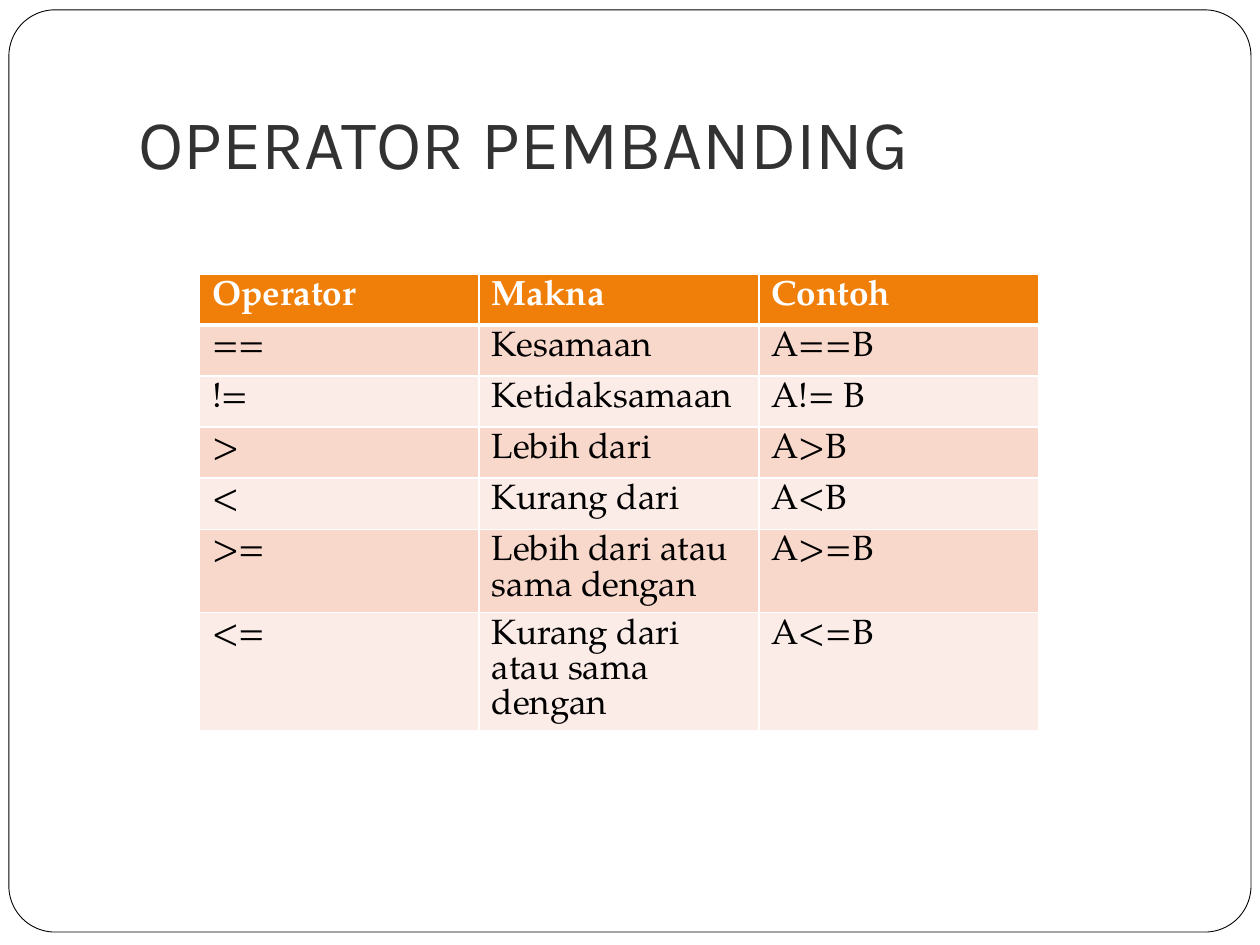
from pptx import Presentation
from pptx.dml.color import RGBColor
from pptx.enum.shapes import MSO_SHAPE
from pptx.enum.text import MSO_ANCHOR, PP_ALIGN
from pptx.oxml.ns import qn
from pptx.util import Cm, Pt
from lxml.etree import SubElement

TITLE = "OPERATOR PEMBANDING"
ROWS = [
    ("Operator", "Makna", "Contoh"),
    ("==", "Kesamaan", "A==B"),
    ("!=", "Ketidaksamaan", "A!= B"),
    (">", "Lebih dari", "A>B"),
    ("<", "Kurang dari", "A<B"),
    (">=", "Lebih dari atau sama dengan", "A>=B"),
    ("<=", "Kurang dari atau sama dengan", "A<=B"),
]
TITLE_FONT, TABLE_FONT = "Karla", "TeX Gyre Pagella"
WHITE = RGBColor(0xFF, 0xFF, 0xFF)
BLACK = RGBColor(0, 0, 0)
GREY = RGBColor(0x32, 0x32, 0x32)
ORANGE = RGBColor(0xF0, 0x7F, 0x09)
BANDS = (RGBColor(0xFC, 0xEC, 0xE7), RGBColor(0xF9, 0xD8, 0xCC))
COLUMN_WIDTH, ROW_HEIGHT = Cm(5.64), Cm(1.03)


def set_borders(cell, header, below_header):
    """Draw white cell borders, with a thick rule under the header."""
    properties = cell._tc.get_or_add_tcPr()
    thick_side = "lnB" if header else "lnT" if below_header else None
    for index, side in enumerate(("lnL", "lnR", "lnT", "lnB")):
        width = Pt(3 if side == thick_side else 1)
        line = properties.makeelement(qn(f"a:{side}"), {"w": str(int(width))})
        fill = SubElement(line, qn("a:solidFill"))
        SubElement(fill, qn("a:srgbClr"), val=str(WHITE))
        properties.insert(index, line)


deck = Presentation()
deck.slide_width, deck.slide_height = Cm(25.4), Cm(19.05)
page = deck.slides.add_slide(deck.slide_layouts[5])

# Rounded frame, behind everything else
frame = page.shapes.add_shape(
    MSO_SHAPE.ROUNDED_RECTANGLE, Cm(0.18), Cm(0.2), Cm(25.04), Cm(18.59))
frame.adjustments[0] = 0.05
frame.shadow.inherit = False
frame.fill.solid()
frame.fill.fore_color.rgb = WHITE
frame.line.color.rgb = BLACK
frame.line.width = Pt(0.5)
page.shapes._spTree.insert(2, frame._element)

# Title
title = page.shapes.title
title.left, title.top, title.width, title.height = (
    Cm(2.54), Cm(0.76), Cm(21.59), Cm(3.18))
title_text = title.text_frame
title_text.text = TITLE
title_text.vertical_anchor = MSO_ANCHOR.BOTTOM
title_text.margin_bottom = Cm(0.25)
para = title_text.paragraphs[0]
para.alignment = PP_ALIGN.LEFT
para.font.name, para.font.size = TITLE_FONT, Pt(40)
para.font.color.rgb = GREY

# Operator table
table = page.shapes.add_table(
    len(ROWS), len(ROWS[0]), Cm(4.02), Cm(5.52),
    COLUMN_WIDTH * len(ROWS[0]), ROW_HEIGHT * len(ROWS)).table
for row_index, row in enumerate(ROWS):
    header = row_index == 0
    for column_index, text in enumerate(row):
        cell = table.cell(row_index, column_index)
        cell.text = text
        cell.fill.solid()
        cell.fill.fore_color.rgb = ORANGE if header else BANDS[row_index % 2]
        set_borders(cell, header, row_index == 1)
        font = cell.text_frame.paragraphs[0].font
        font.name, font.size, font.bold = TABLE_FONT, Pt(20), header
        font.color.rgb = WHITE if header else BLACK

deck.save("out.pptx")
